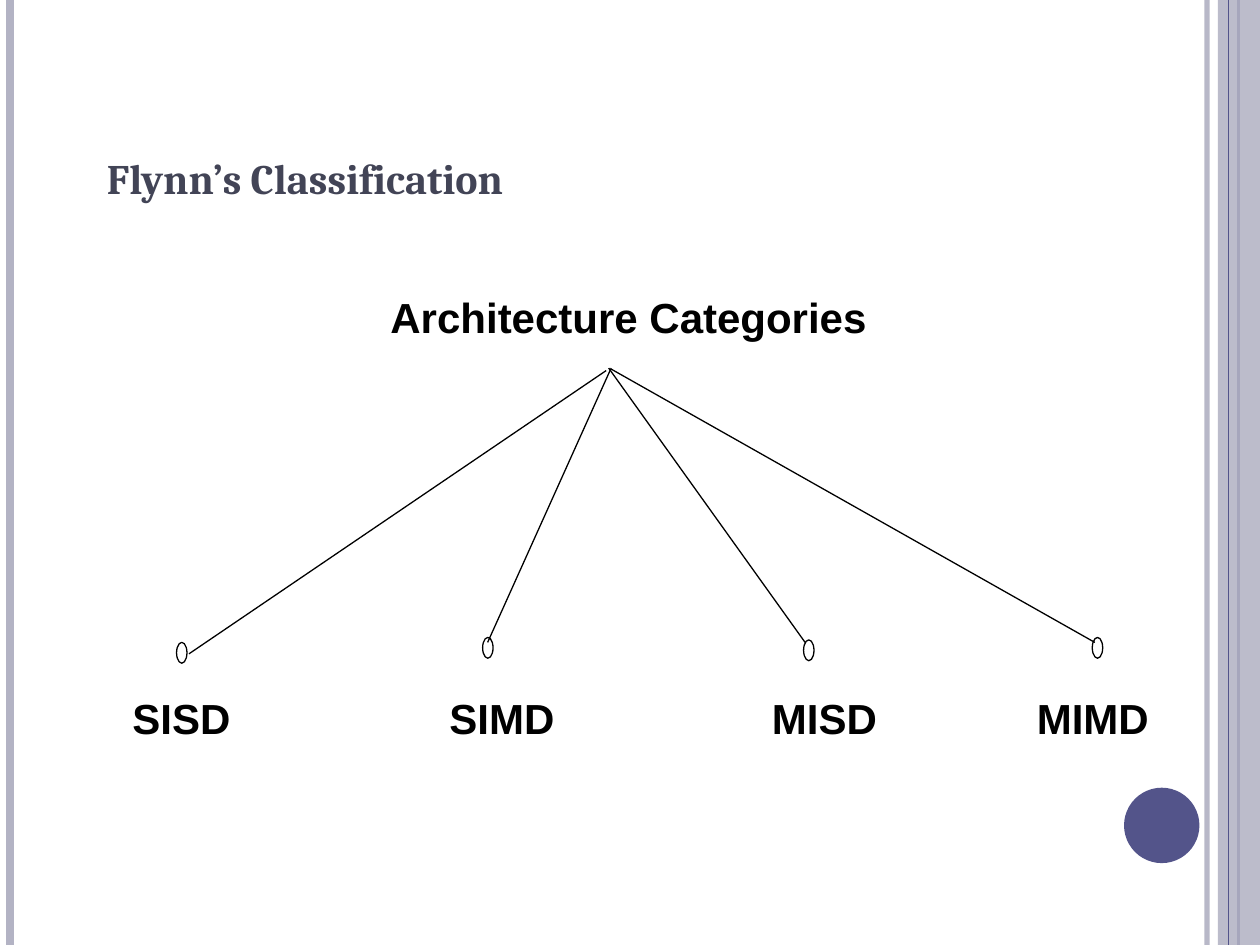
from lxml import etree
from pptx import Presentation
from pptx.dml.color import RGBColor
from pptx.enum.shapes import MSO_CONNECTOR, MSO_SHAPE
from pptx.enum.text import MSO_ANCHOR, MSO_AUTO_SIZE, PP_ALIGN
from pptx.oxml.ns import qn
from pptx.util import Cm, Pt

STRAIGHT = MSO_CONNECTOR.STRAIGHT
RECT, OVAL = MSO_SHAPE.RECTANGLE, MSO_SHAPE.OVAL
BOTTOM = MSO_ANCHOR.BOTTOM
LEFT, CENTER = PP_ALIGN.LEFT, PP_ALIGN.CENTER

BLACK = RGBColor(0x00, 0x00, 0x00)
LILAC = RGBColor(0xB3, 0xB3, 0xC4)
INDIGO = RGBColor(0x53, 0x54, 0x8A)
SLATE = RGBColor(0x42, 0x44, 0x56)

WIDTH, HEIGHT = 25.4, 19.05
NODE_W, NODE_H = 0.21, 0.42
LABEL_TOP, LABEL_H = 13.84, 1.27

# label, label centre and width, branch start, branch end, node corner
CATEGORIES = [
    ("SISD", 3.66, 2.49, (12.22, 7.47), (3.81, 13.18), (3.56, 12.95)),
    ("SIMD", 10.12, 2.62, (12.32, 7.42), (9.83, 12.95), (9.73, 12.85)),
    ("MISD", 16.62, 2.62, (12.27, 7.42), (16.23, 12.95), (16.2, 12.9)),
    ("MIMD", 22.03, 2.77, (12.32, 7.44), (22.07, 12.95), (22.02, 12.85)),
]


def set_opacity(shape, percent):
    """Apply an opacity to the RGB colours of a shape's fill and line."""
    for color in shape._element.spPr.iter(qn("a:srgbClr")):
        etree.SubElement(color, qn("a:alpha")).set("val", str(percent * 1000))


def add_line(s, start, end, color, width):
    line = s.shapes.add_connector(STRAIGHT, *map(Cm, start + end))
    line.line.color.rgb = color
    line.line.width = Pt(width)
    etree.SubElement(line._element.spPr, qn("a:effectLst"))
    return line


def add_rule(s, x, color, width):
    """Draw a vertical line over the full slide height."""
    return add_line(s, (x, 0), (x, HEIGHT), color, width)


def add_filled(s, kind, box, color):
    sp = s.shapes.add_shape(kind, *map(Cm, box))
    sp.shadow.inherit = False
    sp.fill.solid()
    sp.fill.fore_color.rgb = color
    sp.line.fill.background()
    return sp


def add_node(s, corner):
    sp = s.shapes.add_shape(OVAL, *map(Cm, corner + (NODE_W, NODE_H)))
    sp.shadow.inherit = False
    sp.fill.background()
    sp.line.color.rgb = BLACK
    sp.line.width = Pt(0.75)


def write(tf, text, font, color, align):
    tf.vertical_anchor = BOTTOM
    p = tf.paragraphs[0]
    p.text = text
    p.alignment = align
    p.font.name = font
    p.font.size = Pt(24)
    p.font.bold = True
    p.font.color.rgb = color


def add_label(s, text, center, top, width):
    box = (center - width / 2, top, width, LABEL_H)
    tf = s.shapes.add_textbox(*map(Cm, box)).text_frame
    tf.word_wrap = False
    tf.auto_size = MSO_AUTO_SIZE.SHAPE_TO_FIT_TEXT
    write(tf, text, "Arial", BLACK, CENTER)


def add_side_decoration(s):
    set_opacity(add_rule(s, 24.33, LILAC, 3), 93)
    add_rule(s, 0.21, LILAC, 4.5)
    add_rule(s, 24.97, INDIGO, 1.5)
    set_opacity(add_filled(s, RECT, (24.55, 0, 0.85, HEIGHT), LILAC), 87)
    add_rule(s, 24.77, INDIGO, 0.75)
    add_filled(s, OVAL, (22.66, 15.88, 1.52, 1.52), INDIGO)


def set_title(s, text):
    title = s.shapes.title
    title.left, title.top = Cm(1.9), Cm(1.48)
    title.width, title.height = Cm(20.8), Cm(2.74)
    write(title.text_frame, text, "Cambria", SLATE, LEFT)


def main():
    prs = Presentation()
    prs.slide_width, prs.slide_height = Cm(WIDTH), Cm(HEIGHT)
    s = prs.slides.add_slide(prs.slide_layouts[5])
    add_side_decoration(s)
    set_title(s, "Flynn’s Classification")
    add_label(s, "Architecture Categories", 12.67, 5.74, 10.11)
    for text, center, width, start, end, corner in CATEGORIES:
        add_label(s, text, center, LABEL_TOP, width)
        add_line(s, start, end, BLACK, 0.75)
        add_node(s, corner)
    prs.save("out.pptx")


if __name__ == "__main__":
    main()
